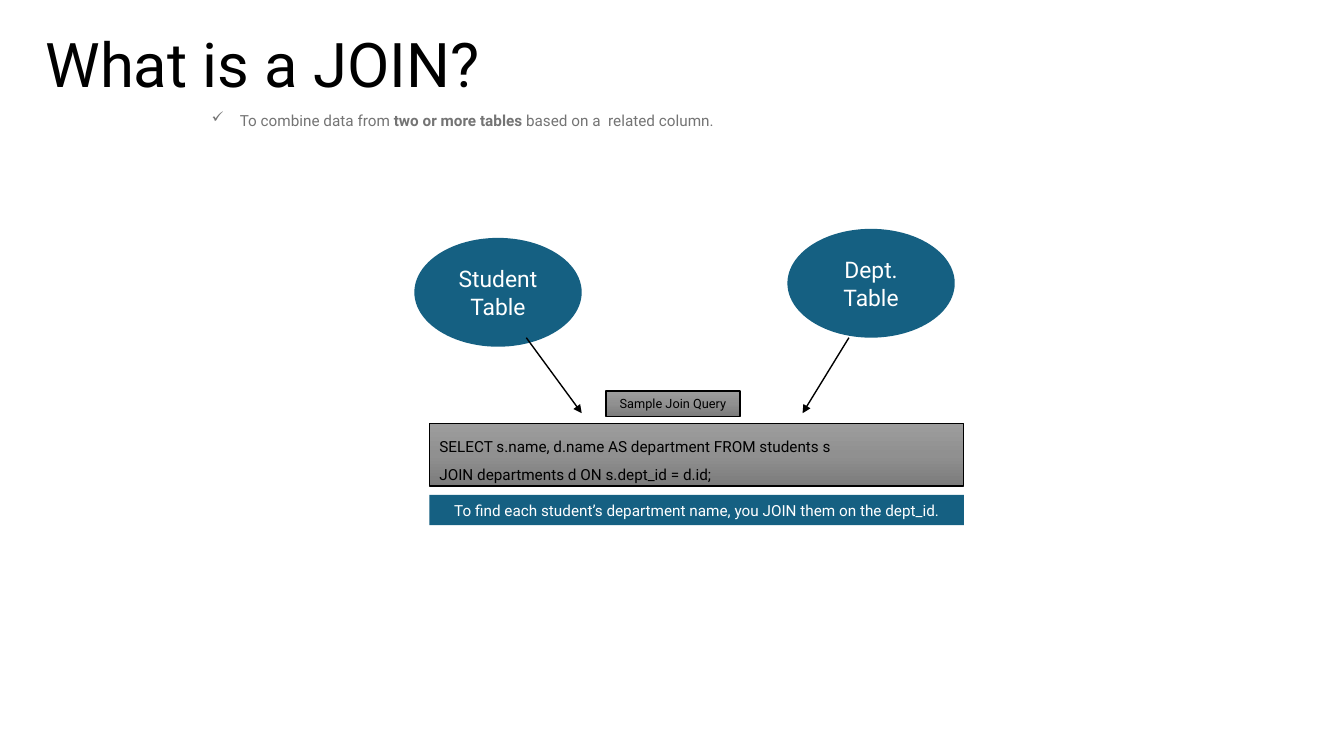
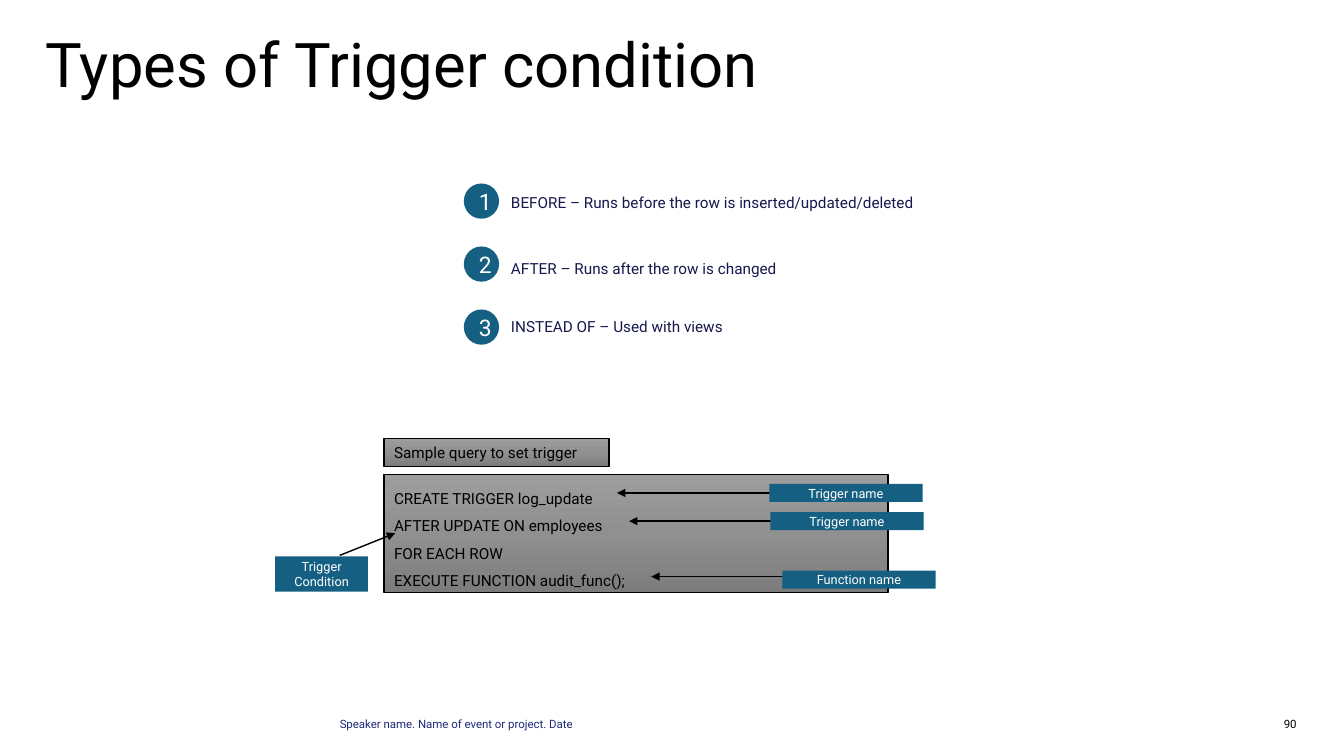
from copy import deepcopy

from lxml import etree
from pptx import Presentation
from pptx.dml.color import RGBColor
from pptx.enum.shapes import MSO_CONNECTOR, MSO_SHAPE
from pptx.enum.text import MSO_ANCHOR, MSO_AUTO_SIZE, PP_ALIGN
from pptx.oxml.ns import qn
from pptx.util import Inches, Pt

RECT, OVAL = MSO_SHAPE.RECTANGLE, MSO_SHAPE.OVAL
LINE = MSO_CONNECTOR.STRAIGHT
TOP, MIDDLE = MSO_ANCHOR.TOP, MSO_ANCHOR.MIDDLE
LEFT, CENTER, RIGHT = PP_ALIGN.LEFT, PP_ALIGN.CENTER, PP_ALIGN.RIGHT
FIXED = MSO_AUTO_SIZE.NONE

FONT = "Roboto"
BLACK = RGBColor(0x00, 0x00, 0x00)
WHITE = RGBColor(0xFF, 0xFF, 0xFF)
TEAL = RGBColor(0x15, 0x60, 0x82)
GRAY = RGBColor(0x74, 0x74, 0x74)
NAVY = RGBColor(0x16, 0x18, 0x4E)
BLUE = RGBColor(0x1E, 0x2A, 0x78)
SHADES = (
    (0, RGBColor(0x9D, 0x9D, 0x9D)),
    (0.5, RGBColor(0x90, 0x90, 0x90)),
    (1, RGBColor(0x7C, 0x7C, 0x7C)),
)
HEAD, LARGE, BODY, SMALL, TINY = 44, 16.3, 10.9, 9.1, 8.2


def style(frame, size, color, align=LEFT, space=None):
    """Format every paragraph and run of a text frame."""
    for para in frame.paragraphs:
        para.alignment = align
        if space:
            para.line_spacing = space
        for run in para.runs:
            font = run.font
            font.name, font.size = FONT, Pt(size)
            font.color.rgb = color


def bare(frame):
    """Remove the insets of a text frame."""
    frame.margin_left = frame.margin_right = 0
    frame.margin_top = frame.margin_bottom = 0


def add_text(slide, box, text, size, color):
    """Add a wrapped text box and return its frame."""
    frame = slide.shapes.add_textbox(*map(Inches, box)).text_frame
    frame.word_wrap = True
    frame.text = text
    style(frame, size, color)
    return frame


def add_box(slide, kind, box, text, size, color, align, anchor, space=None):
    """Add a preset shape with text and no shadow."""
    shape = slide.shapes.add_shape(kind, *map(Inches, box))
    shape.shadow.inherit = False
    frame = shape.text_frame
    frame.word_wrap = True
    frame.vertical_anchor = anchor
    frame.text = text
    style(frame, size, color, align, space)
    return shape


def add_tag(slide, box, text, size=SMALL, kind=RECT):
    """Add a teal shape with centred white text."""
    tag = add_box(slide, kind, box, text, size, WHITE, CENTER, MIDDLE)
    tag.fill.solid()
    tag.fill.fore_color.rgb = TEAL
    tag.line.fill.background()


def add_panel(slide, box, text, size=BODY, align=LEFT, space=None):
    """Add a grey gradient panel with a black outline."""
    panel = add_box(slide, RECT, box, text, size, BLACK, align, TOP, space)
    panel.fill.gradient()
    panel.fill.gradient_angle = 270
    first = panel._element.spPr.find(".//" + qn("a:gs"))
    first.addnext(deepcopy(first))
    for stop, (place, shade) in zip(panel.fill.gradient_stops, SHADES):
        stop.position = place
        stop.color.rgb = shade
    panel.line.color.rgb = BLACK
    panel.line.width = Pt(1)


def add_arrow(slide, x1, y1, x2, y2):
    """Add a black line with an arrowhead at its end."""
    arrow = slide.shapes.add_connector(LINE, *map(Inches, (x1, y1, x2, y2)))
    arrow.line.color.rgb = BLACK
    arrow.line.width = Pt(1)
    outline = arrow.line._get_or_add_ln()
    etree.SubElement(outline, qn("a:tailEnd"), type="triangle")
    etree.SubElement(arrow._element.spPr, qn("a:effectLst"))


def add_slide(deck, text):
    """Add a title-only slide with the shared title style."""
    slide = deck.slides.add_slide(deck.slide_layouts[5])
    title = slide.shapes.title
    title.left, title.top = Inches(0.45), Inches(0.34)
    title.width, title.height = Inches(11.46), Inches(0.56)
    frame = title.text_frame
    frame.text = text
    frame.auto_size = FIXED
    frame.vertical_anchor = TOP
    bare(frame)
    style(frame, HEAD, BLACK, space=0.9)
    return slide


def add_check(slide, box, parts):
    """Add a ticked line made of plain and bold parts."""
    frame = add_text(slide, box, "", BODY, GRAY)
    para = frame.paragraphs[0]
    props = para._p.get_or_add_pPr()
    props.set("marL", str(Inches(0.28)))
    props.set("indent", str(Inches(-0.28)))
    etree.SubElement(props, qn("a:buChar"), char="✓")
    for text, bold in parts:
        run = para.add_run()
        run.text = text
        run.font.bold = bold
    style(frame, BODY, GRAY)


def add_join(slide, x, y):
    """Draw two tables that feed a join query."""
    for dx, dy, name in ((0, 0.09, "Student Table"), (3.7, 0, "Dept. Table")):
        add_tag(slide, (x + dx, y + dy, 1.66, 1.08), name, LARGE, OVAL)
    query = (
        "SELECT s.name, d.name AS department FROM students s\n"
        "JOIN departments d ON s.dept_id = d.id;"
    )
    add_panel(slide, (x + 0.15, y + 1.93, 5.3, 0.62), query, space=1.5)
    note = "To find each student’s department name, you JOIN them on the dept_id."
    add_tag(slide, (x + 0.15, y + 2.64, 5.3, 0.3), note, BODY)
    for start, end in ((1.11, 1.66), (4.31, 3.85)):
        add_arrow(slide, x + start, y + 1.08, x + end, y + 1.83)
    label = (x + 1.9, y + 1.61, 1.33, 0.25)
    add_panel(slide, label, "Sample Join Query", SMALL, CENTER)


def add_types(slide, x, y):
    """List the numbered trigger types."""
    rows = (
        (0.05, "BEFORE – Runs before the row is inserted/updated/deleted"),
        (0.7, "AFTER – Runs after the row is changed"),
        (1.28, "INSTEAD OF – Used with views"),
    )
    for i, (dy, text) in enumerate(rows):
        add_text(slide, (x + 0.37, y + dy, 5, 0.28), text, BODY, NAVY)
        dot = (x, y + 0.625 * i, 0.35, 0.35)
        add_tag(slide, dot, str(i + 1), LARGE, OVAL)


def add_query(slide, x, y):
    """Draw the trigger query with its labelled parts."""
    query = (
        "CREATE TRIGGER log_update\n"
        "AFTER UPDATE ON employees\n"
        "FOR EACH ROW\n"
        "EXECUTE FUNCTION audit_func();"
    )
    add_panel(slide, (x, y + 0.36, 5, 1.17), query, space=1.5)
    add_panel(slide, (x, y, 2.23, 0.28), "Sample query to set trigger")
    marks = (
        (3.82, 0.45, 2.31, 0.54, "Trigger name"),
        (3.83, 0.73, 2.43, 0.82, "Trigger name"),
        (3.95, 1.31, 2.65, 1.37, "Function name"),
    )
    for left, top, tip, level, text in marks:
        add_arrow(slide, x + tip + 1.52, y + level, x + tip, y + level)
        add_tag(slide, (x + left, y + top, 1.52, 0.18), text)
    add_arrow(slide, x - 0.44, y + 1.16, x + 0.11, y + 0.94)
    add_tag(slide, (x - 1.08, y + 1.17, 0.92, 0.35), "Trigger Condition")


def add_foot(slide, y, number):
    """Add the speaker line and the slide number."""
    speaker = "Speaker name. Name of event or project. Date"
    for x, width, text, color, align in (
        (12.38, 0.48, number, BLACK, RIGHT),
        (3.37, 6.53, speaker, BLUE, LEFT),
    ):
        frame = add_text(slide, (x, y, width, 0.18), text, TINY, color)
        bare(frame)
        style(frame, TINY, color, align, Pt(TINY))


def main():
    """Build and save both slides."""
    deck = Presentation()
    deck.slide_width, deck.slide_height = Inches(13.33), Inches(7.5)

    join = add_slide(deck, "What is a JOIN?")
    parts = (
        ("To combine data from ", False),
        ("two or more tables", True),
        (" based on a  related column.", False),
    )
    add_check(join, (2, 1.05, 8.68, 0.28), parts)
    add_join(join, 4.11, 2.27)

    trigger = add_slide(deck, "Types of Trigger condition")
    add_foot(trigger, 7.14, "90")
    add_types(trigger, 4.6, 1.82)
    add_query(trigger, 3.81, 4.35)
    deck.save("out.pptx")


if __name__ == "__main__":
    main()
